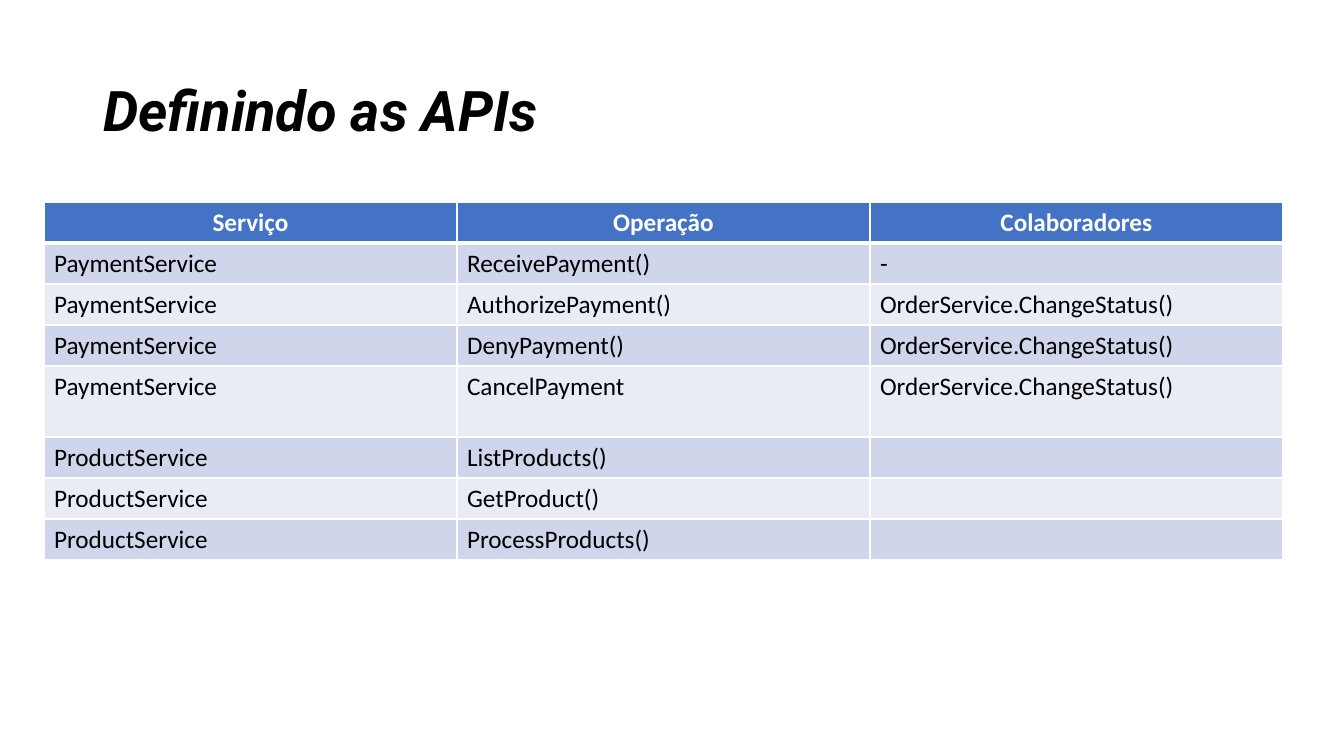
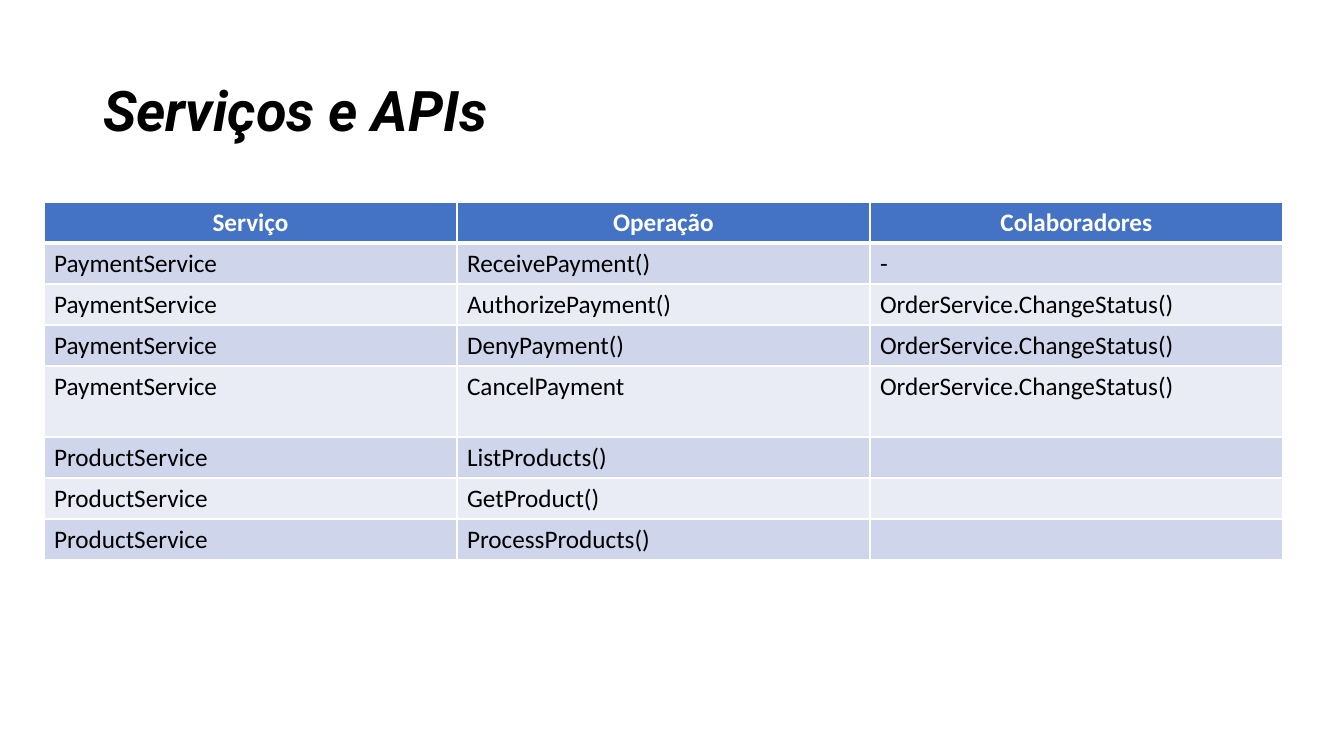
from lxml import etree
from pptx import Presentation
from pptx import util as u
from pptx.dml.color import RGBColor
from pptx.enum import text
from pptx.oxml import ns

PX = u.Inches(13.3333) / 1344

BLACK = RGBColor(0x00, 0x00, 0x00)
WHITE = RGBColor(0xFF, 0xFF, 0xFF)
HEADER_BLUE = RGBColor(0x44, 0x72, 0xC4)
BANDS = [RGBColor(0xCF, 0xD5, 0xEA), RGBColor(0xE9, 0xEB, 0xF5)]

TITLES = ["Definindo as APIs", "Serviços e APIs"]
STATUS_CALL = "OrderService.ChangeStatus()"
ROWS = [
    ("Serviço", "Operação", "Colaboradores"),
    ("PaymentService", "ReceivePayment()", "-"),
    ("PaymentService", "AuthorizePayment()", STATUS_CALL),
    ("PaymentService", "DenyPayment()", STATUS_CALL),
    ("PaymentService", "CancelPayment", STATUS_CALL),
    ("ProductService", "ListProducts()", ""),
    ("ProductService", "GetProduct()", ""),
    ("ProductService", "ProcessProducts()", ""),
]
COLUMN_WIDTH = 413
ROW_HEIGHT = 41
TALL_ROW, TALL_HEIGHT = 4, 71


def px(length):
    return u.Emu(round(length * PX))


def add_run(paragraph, words, font_name, size, color, bold, italic=False):
    run = paragraph.add_run()
    run.text = words
    font = run.font
    font.name, font.size = font_name, u.Pt(size)
    font.bold, font.italic = bold, italic
    font.color.rgb = color


presentation = Presentation()
presentation.slide_width = px(1344)
presentation.slide_height = px(756)
title_only = presentation.slide_layouts[5]

for title_words in TITLES:
    slide = presentation.slides.add_slide(title_only)

    # Title
    title = slide.shapes.title
    title.left, title.top, title.width, title.height = px(93), px(40), px(1159), px(146)
    frame = title.text_frame
    frame.auto_size = text.MSO_AUTO_SIZE.NONE
    frame.vertical_anchor = text.MSO_ANCHOR.MIDDLE
    paragraph = frame.paragraphs[0]
    paragraph.alignment = text.PP_ALIGN.LEFT
    paragraph.line_spacing = 0.9
    add_run(paragraph, title_words, "Roboto", 40, BLACK, True, True)

    # Table of services
    heights = [TALL_HEIGHT if i == TALL_ROW else ROW_HEIGHT for i in range(len(ROWS))]
    table = slide.shapes.add_table(
        len(ROWS), len(ROWS[0]), px(44), px(202),
        px(COLUMN_WIDTH * len(ROWS[0])), px(sum(heights))).table
    for column in table.columns:
        column.width = px(COLUMN_WIDTH)

    for row_index, row_words in enumerate(ROWS):
        table.rows[row_index].height = px(heights[row_index])
        is_header = row_index == 0
        for column_index, words in enumerate(row_words):
            cell = table.cell(row_index, column_index)

            # Borders, with a thick rule under the header
            thick_side = {0: "lnB", 1: "lnT"}.get(row_index)
            properties = cell._tc.get_or_add_tcPr()
            for side in ("lnL", "lnR", "lnT", "lnB"):
                width = u.Pt(3 if side == thick_side else 1)
                line = etree.SubElement(properties, ns.qn(f"a:{side}"), w=str(width))
                fill = etree.SubElement(line, ns.qn("a:solidFill"))
                etree.SubElement(fill, ns.qn("a:srgbClr"), val=str(WHITE))

            # Fill and text
            cell.fill.solid()
            cell.fill.fore_color.rgb = HEADER_BLUE if is_header else BANDS[(row_index - 1) % 2]
            paragraph = cell.text_frame.paragraphs[0]
            paragraph.alignment = text.PP_ALIGN.CENTER if is_header else text.PP_ALIGN.LEFT
            if words:
                add_run(paragraph, words, "Calibri", 18, WHITE if is_header else BLACK, is_header)

presentation.save("out.pptx")
